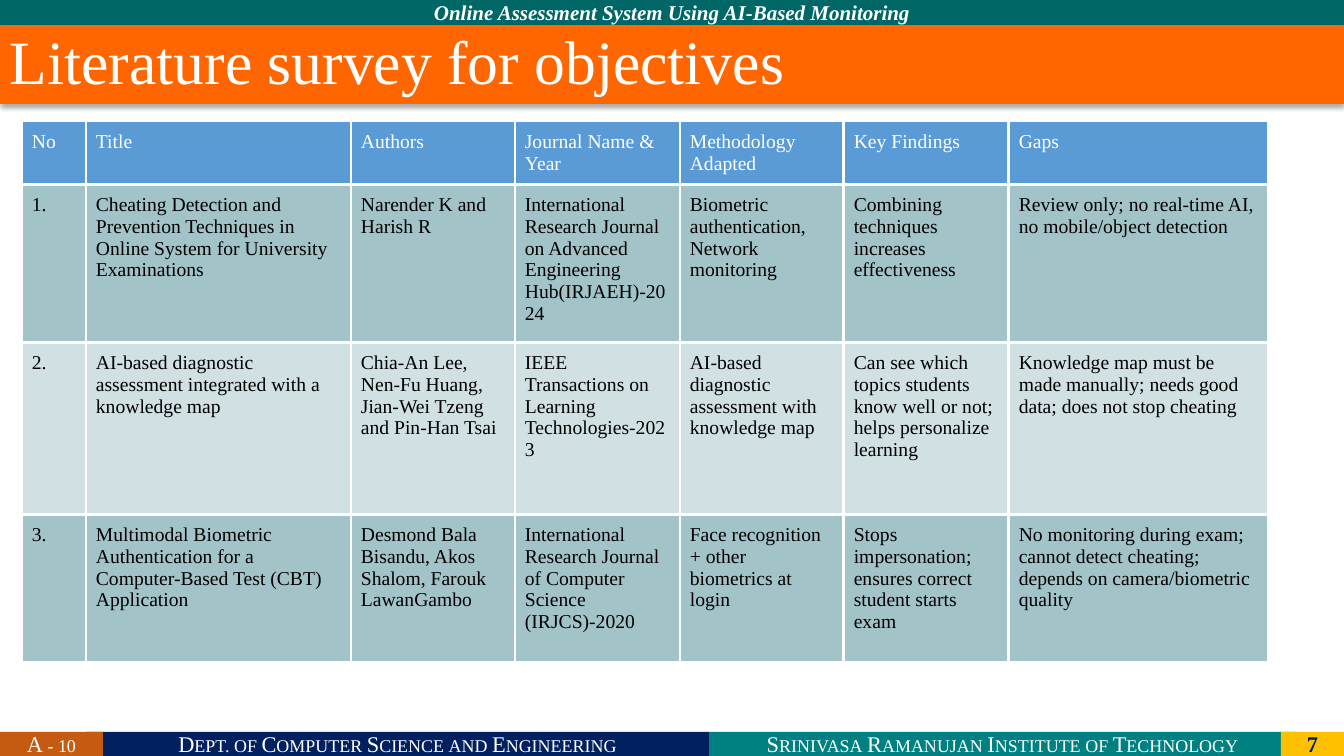
from dataclasses import dataclass

from lxml.etree import SubElement
from pptx import Presentation
from pptx.dml.color import RGBColor
from pptx.enum.shapes import MSO_SHAPE
from pptx.enum.text import MSO_ANCHOR, PP_ALIGN
from pptx.oxml import parse_xml
from pptx.oxml.ns import nsdecls, qn
from pptx.util import Pt


@dataclass(frozen=True)
class Theme:
    font: str = "Times New Roman"
    white: str = "FFFFFF"
    black: str = "000000"
    navy: str = "002060"
    teal: str = "008080"
    dark_teal: str = "006666"
    gold: str = "FFC000"
    rust: str = "C55A11"
    orange: str = "FF6600"
    header_blue: str = "5B9BD5"
    row_dark: str = "A2C4C9"
    row_light: str = "D0E0E3"
    title_size: int = 44
    footer_size: int = 16
    banner_size: int = 15
    table_size: int = 14
    border_width: float = 2.25


THEME = Theme()


def px(length):
    return round(length * 914400 / 100.8)


class SlideBuilder:
    def __init__(self, slide, theme):
        self.slide = slide
        self.theme = theme

    def style(self, paragraph, size, color, bold=False, italic=False):
        font = paragraph.font
        font.name = self.theme.font
        font.size = Pt(size)
        font.bold = bold
        font.italic = italic
        font.color.rgb = RGBColor.from_string(color)

    def bar(self, text, box, fill, size, color=THEME.white, bold=False,
            italic=False, small_caps=False, align=PP_ALIGN.CENTER):
        shape = self.slide.shapes.add_shape(MSO_SHAPE.RECTANGLE, *map(px, box))
        shape.shadow.inherit = False
        shape.fill.solid()
        shape.fill.fore_color.rgb = RGBColor.from_string(fill)
        shape.line.fill.background()
        shape.text_frame.vertical_anchor = MSO_ANCHOR.MIDDLE
        paragraph = shape.text_frame.paragraphs[0]
        paragraph.text = text
        paragraph.alignment = align
        self.style(paragraph, size, color, bold, italic)
        if small_caps:
            paragraph._p.pPr.find(qn("a:defRPr")).set("cap", "small")
            paragraph.runs[0]._r.get_or_add_rPr().set("cap", "small")
        return shape

    def title(self, text, box):
        heading = self.bar(text, box, self.theme.orange, self.theme.title_size,
                           align=PP_ALIGN.JUSTIFY)
        heading.text_frame.paragraphs[0].line_spacing = 0.9
        effects = heading._element.spPr.find(qn("a:effectLst"))
        shadow = SubElement(effects, qn("a:outerShdw"), blurRad=str(Pt(3.5)),
                            dist=str(Pt(2.2)), dir="5400000", rotWithShape="0")
        color = SubElement(shadow, qn("a:srgbClr"), val=self.theme.black)
        SubElement(color, qn("a:alpha"), val="32000")

    def cell(self, cell, text, fill, color):
        cell.fill.solid()
        cell.fill.fore_color.rgb = RGBColor.from_string(fill)
        cell.margin_left = cell.margin_right = px(10)
        cell.margin_top = cell.margin_bottom = px(10)
        paragraph = cell.text_frame.paragraphs[0]
        paragraph.text = text
        self.style(paragraph, self.theme.table_size, color)
        properties = cell._tc.get_or_add_tcPr()
        for index, side in enumerate(("lnL", "lnR", "lnT", "lnB")):
            properties.insert(index, parse_xml(
                f'<a:{side} {nsdecls("a")} w="{Pt(self.theme.border_width)}">'
                f'<a:solidFill><a:srgbClr val="{self.theme.white}"/></a:solidFill>'
                f'</a:{side}>'))

    def table(self, rows, left, top, widths, heights):
        table = self.slide.shapes.add_table(
            len(rows), len(widths), px(left), px(top),
            px(sum(widths)), px(sum(heights))).table
        table.first_row = table.horz_banding = False
        for column, width in zip(table.columns, widths):
            column.width = px(width)
        for number, (row, height) in enumerate(zip(rows, heights)):
            table.rows[number].height = px(height)
            if number == 0:
                fill, color = self.theme.header_blue, self.theme.white
            else:
                fill = self.theme.row_dark if number % 2 else self.theme.row_light
                color = self.theme.black
            for column, text in enumerate(row):
                self.cell(table.cell(number, column), text, fill, color)


SURVEY = [
    ("No", "Title", "Authors", "Journal Name & Year", "Methodology Adapted",
     "Key Findings", "Gaps"),
    ("1.",
     "Cheating Detection and Prevention Techniques in Online System for "
     "University Examinations",
     "Narender K and Harish R",
     "International Research Journal on Advanced Engineering Hub(IRJAEH)-2024",
     "Biometric authentication, Network monitoring",
     "Combining techniques increases effectiveness",
     "Review only; no real-time AI, no mobile/object detection"),
    ("2.",
     "AI-based diagnostic assessment integrated with a knowledge map",
     "Chia‑An Lee, Nen-Fu Huang, Jian-Wei Tzeng and Pin-Han Tsai",
     "IEEE Transactions on Learning Technologies-2023",
     "AI-based diagnostic assessment with knowledge map",
     "Can see which topics students know well or not; helps personalize learning",
     "Knowledge map must be made manually; needs good data; does not stop cheating"),
    ("3.",
     "Multimodal Biometric Authentication for a Computer-Based Test (CBT) Application",
     "Desmond Bala Bisandu, Akos Shalom, Farouk LawanGambo",
     "International Research Journal of Computer Science (IRJCS)-2020",
     "Face recognition + other biometrics at login",
     "Stops impersonation; ensures correct student starts exam",
     "No monitoring during exam; cannot detect cheating; depends on "
     "camera/biometric quality"),
]


def main():
    presentation = Presentation()
    presentation.slide_width = px(1344)
    presentation.slide_height = px(756)
    slide = presentation.slides.add_slide(presentation.slide_layouts[6])
    builder = SlideBuilder(slide, THEME)

    # Footer
    for text, left, width, fill in (
            ("Dept. of Computer Science and Engineering", 86, 623, THEME.navy),
            ("Srinivasa Ramanujan Institute of Technology", 709, 587, THEME.teal),
            ("A - 10", 0, 103, THEME.rust)):
        builder.bar(text, (left, 732, width, 24), fill, THEME.footer_size,
                    small_caps=True)
    builder.bar("7", (1281, 732, 63, 24), THEME.gold, THEME.footer_size,
                color=THEME.navy, bold=True)

    # Project banner and title
    builder.bar("Online Assessment System Using AI-Based Monitoring",
                (0, 0, 1344, 25), THEME.dark_teal, THEME.banner_size,
                bold=True, italic=True)
    builder.title("Literature survey for objectives", (0, 25, 1344, 79))

    # Literature survey
    builder.table(SURVEY, 22, 121, widths=(64, 265, 164, 165, 164, 165, 260),
                  heights=(63, 158, 172, 148))

    presentation.save("out.pptx")


if __name__ == "__main__":
    main()
